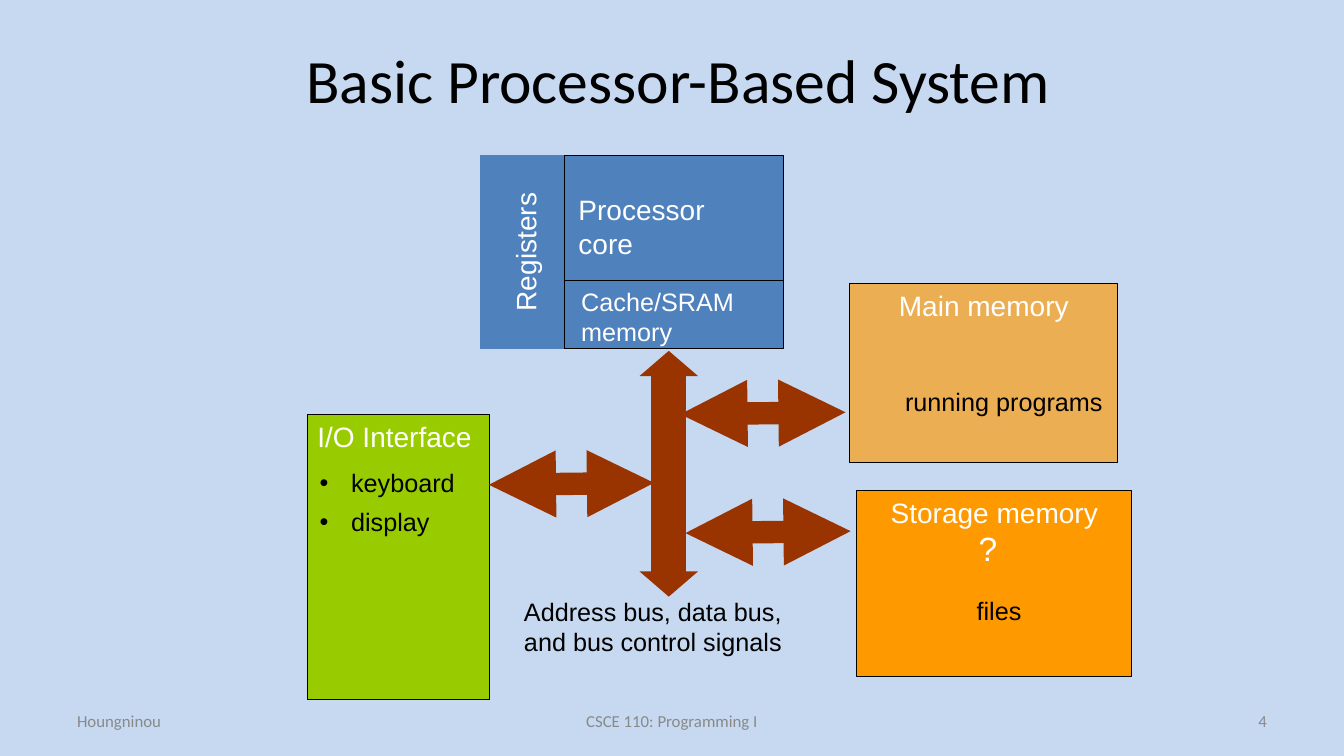
from lxml.etree import SubElement
from pptx import Presentation
from pptx.dml.color import RGBColor
from pptx.enum.shapes import MSO_CONNECTOR, MSO_SHAPE
from pptx.enum.text import MSO_ANCHOR, MSO_AUTO_SIZE, PP_ALIGN
from pptx.oxml.ns import qn
from pptx.util import Pt

COLORS = {
    "background": "C6D9F1", "processor": "4F81BD", "memory": "FF9900",
    "interface": "99CC00", "bus": "993300", "black": "000000",
    "white": "FFFFFF", "footer": "898989",
}
HEADING = {"size": 20, "color": "white"}
NOTE = {"size": 18, "color": "black"}
FOOTER = {"size": 12, "color": "footer", "name": "Calibri"}


def rgb(color):
    return RGBColor.from_string(COLORS[color])


def write(frame, lines, style, align=PP_ALIGN.LEFT, **frame_format):
    """Fill a text frame with one paragraph per line."""
    for attribute, value in frame_format.items():
        setattr(frame, attribute, value)
    frame.text = "\n".join(lines)
    font_format = {"name": "Arial", **style, "size": Pt(style["size"])}
    color = font_format.pop("color")
    for paragraph in frame.paragraphs:
        paragraph.alignment = align
        font = paragraph.runs[0].font
        for attribute, value in font_format.items():
            setattr(font, attribute, value)
        font.color.rgb = rgb(color)


def place(shape, box):
    for attribute, value in zip(("left", "top", "width", "height"), box):
        setattr(shape, attribute, Pt(value))


def add_block(slide, box, fill, outline="black", kind=MSO_SHAPE.RECTANGLE):
    shape = slide.shapes.add_shape(kind, *map(Pt, box))
    shape.shadow.inherit = False
    shape.fill.solid()
    shape.fill.fore_color.rgb = rgb(fill)
    if outline:
        shape.line.color.rgb = rgb(outline)
        shape.line.width = Pt(0.75)
    else:
        shape.line.fill.background()
    return shape


def add_label(slide, box, lines, style, wrap=False):
    label = slide.shapes.add_textbox(*map(Pt, box))
    write(label.text_frame, lines, style, word_wrap=wrap,
          auto_size=MSO_AUTO_SIZE.SHAPE_TO_FIT_TEXT)


def add_bus_line(slide, start, end, width, arrows=False):
    line = slide.shapes.add_connector(MSO_CONNECTOR.STRAIGHT, *map(Pt, start + end))
    line.line.color.rgb = rgb("bus")
    line.line.width = Pt(width)
    if arrows:
        outline = line.line._get_or_add_ln()
        for end_name in ("a:headEnd", "a:tailEnd"):
            SubElement(outline, qn(end_name), type="triangle")
    SubElement(line._element.spPr, qn("a:effectLst"))


def add_title(slide, box):
    title = slide.shapes.title
    place(title, box)
    write(title.text_frame, ["Basic Processor-Based System"],
          {"size": 44, "color": "black", "name": "Calibri"}, PP_ALIGN.CENTER,
          auto_size=MSO_AUTO_SIZE.NONE, vertical_anchor=MSO_ANCHOR.MIDDLE,
          margin_right=Pt(17))


def add_processor(slide, box):
    left, top, width, height = box
    band, core_height = 63.4, 89.6
    # The register band is turned a quarter, so its sides are swapped
    registers = add_block(
        slide, (left + (band - height) / 2, top + (height - band) / 2, height, band),
        "processor", "processor")
    registers.rotation = 270
    write(registers.text_frame, ["Registers"], HEADING, PP_ALIGN.CENTER,
          word_wrap=False, vertical_anchor=MSO_ANCHOR.MIDDLE)
    inner_left, inner_width = left + 59.8, width - 59.8
    add_block(slide, (inner_left, top, inner_width, core_height), "processor")
    add_block(slide, (inner_left, top + core_height, inner_width, height - core_height),
              "processor")
    add_label(slide, (inner_left + 2.9, top + 23, 152.6, 55.4),
              ["Processor", "core"], HEADING)
    add_label(slide, (inner_left + 4.9, top + 90, 129.6, 51.1),
              ["Cache/SRAM", "memory"], {"size": 18, "color": "white"})


def add_memory(slide, box, heading, labels, alpha=None):
    """Draw a memory block; labels hold an offset box, a text and a style."""
    left, top = box[:2]
    block = add_block(slide, box, "memory")
    if alpha:
        color = block._element.spPr.find(qn("a:solidFill"))[0]
        SubElement(color, qn("a:alpha"), val=str(alpha * 1000))
    write(block.text_frame, [heading], HEADING, PP_ALIGN.CENTER,
          word_wrap=False, vertical_anchor=MSO_ANCHOR.TOP)
    for (right, down, width, height), text, style in labels:
        add_label(slide, (left + right, top + down, width, height), [text], style)


def add_interface(slide, box):
    left, top = box[:2]
    block = add_block(slide, box, "interface")
    write(block.text_frame, ["I/O Interface"], HEADING,
          word_wrap=False, vertical_anchor=MSO_ANCHOR.TOP)
    devices = slide.placeholders[1]
    place(devices, (left + 1.5, top + 34.6, 112.3, 56.9))
    write(devices.text_frame, ["keyboard", "display"], NOTE,
          word_wrap=False, auto_size=MSO_AUTO_SIZE.SHAPE_TO_FIT_TEXT)
    for paragraph in devices.text_frame.paragraphs:
        paragraph.space_before = Pt(6)
        properties = paragraph._p.get_or_add_pPr()
        properties.set("marL", str(Pt(22.5)))
        properties.set("indent", str(-Pt(22.5)))
    block._element.addnext(devices._element)  # keep the list above its block


def add_bus(slide, box):
    left, top, width, height = box
    middle, bottom, head = left + width / 2, top + height, 18
    add_bus_line(slide, (middle, bottom - head + 3), (middle, top + head - 1), 25)
    for head_top, flipped in ((top, False), (bottom - head, True)):
        triangle = add_block(slide, (left, head_top, width, head), "bus", None,
                             MSO_SHAPE.ISOSCELES_TRIANGLE)
        if flipped:
            triangle._element.spPr.get_or_add_xfrm().set("flipV", "1")
    for link_left, link_top in ((486, 294.5), (349.2, 344.9), (489.6, 379.4)):
        add_bus_line(slide, (link_left + 118, link_top), (link_left, link_top + 1.4),
                     16, arrows=True)
    add_label(slide, (left - 89.6, bottom - 3.6, 219.6, 50.4),
              ["Address bus, data bus, and bus control signals"], NOTE, wrap=True)


def add_footer(slide, top, height):
    for left, width, text, align in (
            (48, 224, "Houngninou", PP_ALIGN.LEFT),
            (328, 304, "CSCE 110: Programming I", PP_ALIGN.CENTER),
            (688, 224, "4", PP_ALIGN.RIGHT)):
        label = slide.shapes.add_textbox(Pt(left), Pt(top), Pt(width), Pt(height))
        write(label.text_frame, [text], FOOTER, align,
              word_wrap=True, vertical_anchor=MSO_ANCHOR.MIDDLE)


def main():
    presentation = Presentation()
    presentation.slide_width, presentation.slide_height = Pt(960), Pt(540)
    slide = presentation.slides.add_slide(presentation.slide_layouts[1])
    slide.background.fill.solid()
    slide.background.fill.fore_color.rgb = rgb("background")

    add_title(slide, (180.7, 26.6, 617.8, 59.8))
    add_processor(slide, (343.4, 110.9, 216, 138.2))
    add_memory(slide, (607, 202.3, 191.5, 128.2), "Main memory",
               [((32.4, 69.8, 157, 28.8), "running programs", NOTE)], alpha=66)
    add_memory(slide, (612, 350.6, 196.6, 132.5), "Storage memory",
               [((79.9, 23, 28, 36), "?", {"size": 24, "color": "white"}),
                ((78.5, 71.3, 46.8, 28.8), "files", NOTE)])
    add_interface(slide, (219.6, 295.9, 130.3, 203.8))
    add_bus(slide, (456.8, 250.6, 41.8, 175.6))
    add_footer(slide, 500.5, 28.8)
    presentation.save("out.pptx")


if __name__ == "__main__":
    main()
